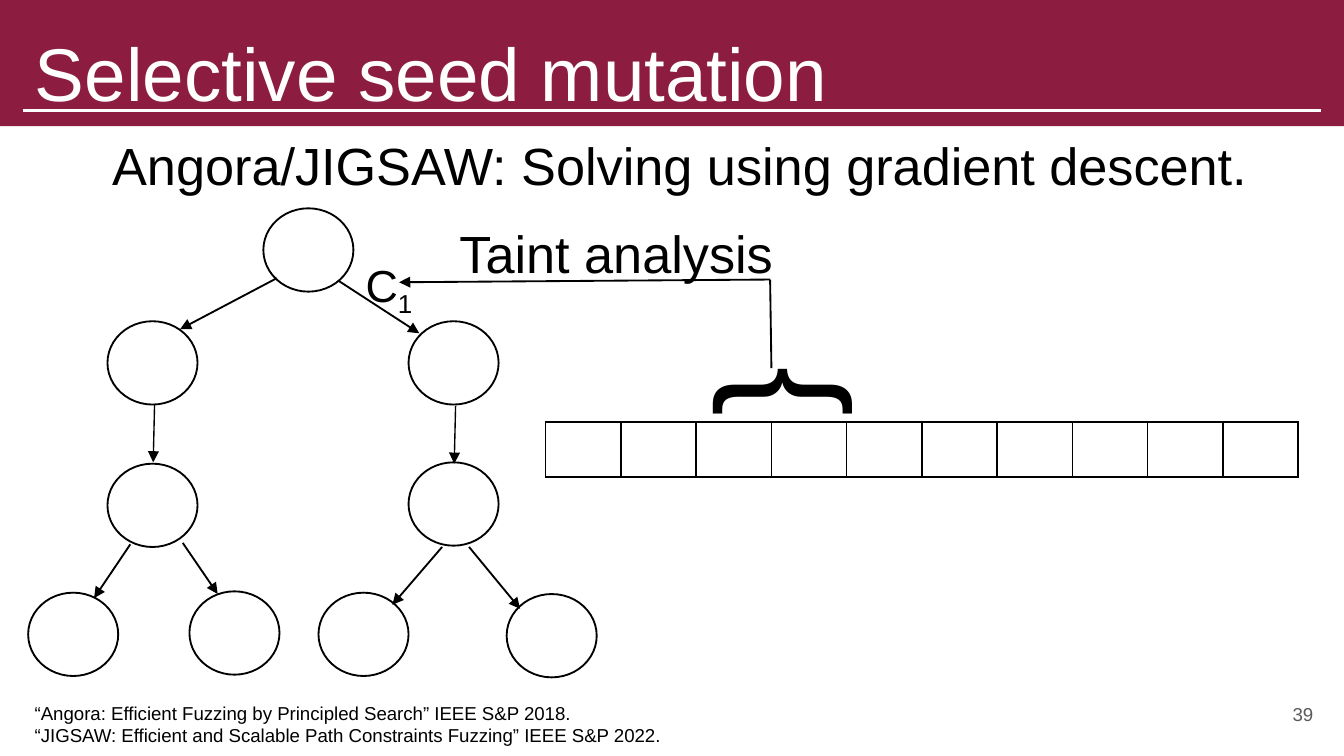
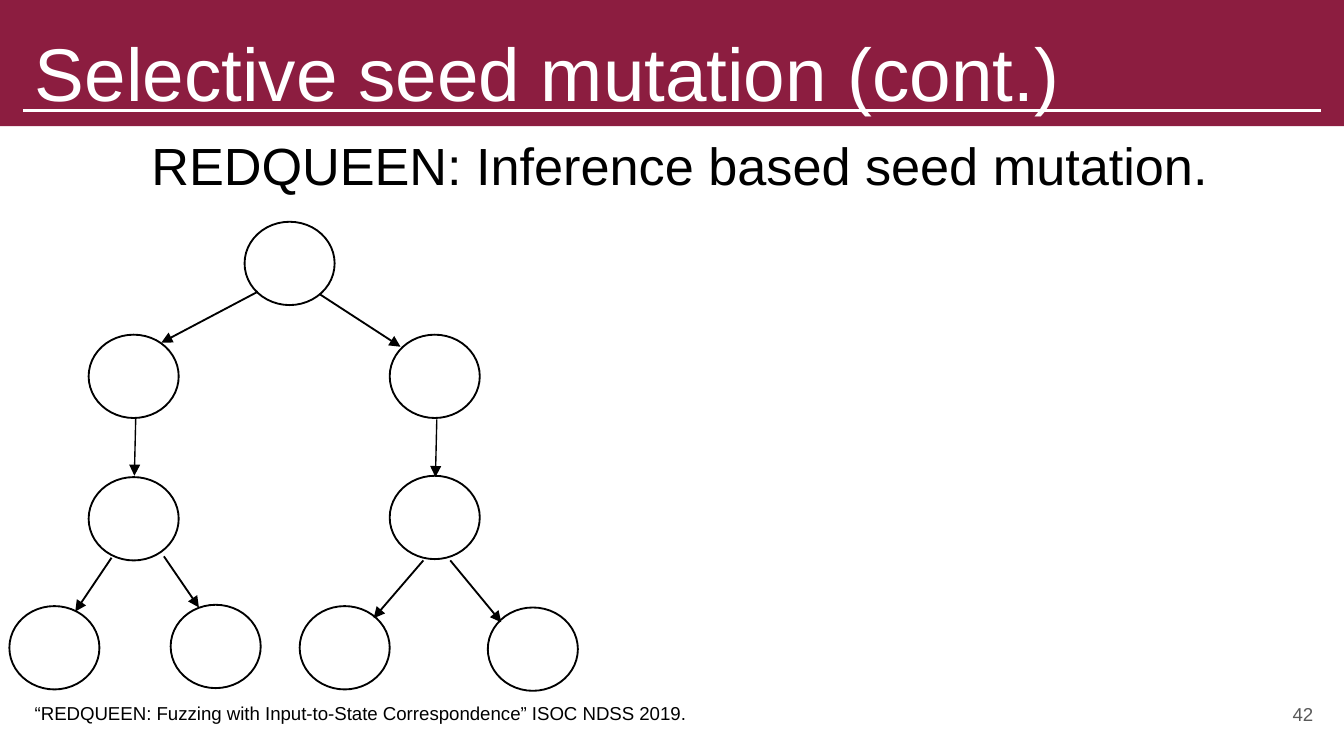
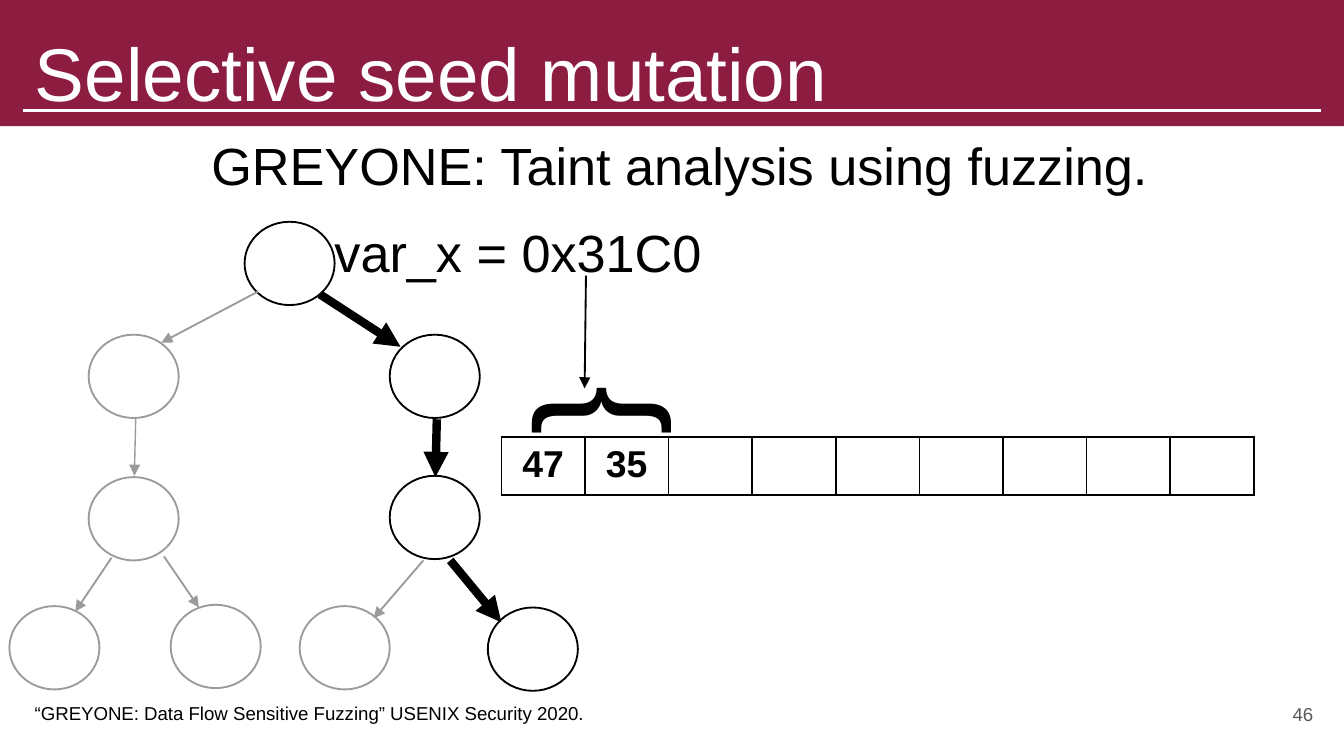
from lxml.etree import SubElement
from pptx import Presentation
from pptx.dml.color import RGBColor
from pptx.enum.shapes import MSO_CONNECTOR, MSO_SHAPE
from pptx.enum.text import MSO_ANCHOR, MSO_AUTO_SIZE, PP_ALIGN
from pptx.oxml.ns import qn
from pptx.util import Inches, Pt

WIDTH, HEIGHT = Inches(10), Inches(5.625)
CELL = WIDTH / 100
FONT = "Arial"
MAROON, WHITE, BLACK = "8C1D40", "FFFFFF", "000000"
FADED, NUMBER_GREY = "9B9B9B", "595959"
NODE_W, NODE_H = 6.7, 6.2

NODES = {
    "root": (0, 0),
    "left": (-11.6, 8.4), "right": (10.8, 8.4),
    "left_low": (-11.6, 19), "right_low": (10.8, 18.9),
    "leaf_1": (-17.5, 28.6), "leaf_2": (-5.5, 28.5),
    "leaf_3": (4.1, 28.6), "leaf_4": (18.1, 28.7),
}
EDGES = {
    "left": ((1, 5.2), (-6.2, 9)),
    "right": ((5.6, 5.4), (11.6, 9.3)),
    "left_low": ((-8.1, 14.6), (-8.2, 18.9)),
    "right_low": ((14.3, 14.7), (14.2, 19)),
    "leaf_1": ((-9.9, 25), (-12.6, 29)),
    "leaf_2": ((-6, 24.9), (-3.4, 28.7)),
    "leaf_3": ((13.3, 25.2), (9.6, 29.5)),
    "leaf_4": ((15.3, 25.2), (19.1, 29.8)),
}
THIN_EDGES = {"left_low", "right_low"}


def rgb(color):
    """Turn a hex string into a colour."""
    return RGBColor.from_string(color)


def grid(*cells):
    """Turn grid columns and rows into lengths."""
    return [round(c * CELL) for c in cells]


def style(p, size, color=BLACK, bold=False, align=None):
    """Format the runs of a paragraph."""
    p.alignment = align
    for r in p.runs:
        r.font.name, r.font.size, r.font.bold = FONT, Pt(size), bold
        r.font.color.rgb = rgb(color)


def add_text(slide, box, text, size, color=BLACK, align=None):
    """Add a text box that grows with its text."""
    sp = slide.shapes.add_textbox(*grid(*box))
    tf = sp.text_frame
    tf.word_wrap = True
    tf.auto_size = MSO_AUTO_SIZE.SHAPE_TO_FIT_TEXT
    tf.text = text
    for p in tf.paragraphs:
        style(p, size, color, align=align)
    return sp


def set_margins(tf):
    """Give a text frame equal margins on all sides."""
    tf.margin_left = tf.margin_top = tf.margin_right = tf.margin_bottom = Inches(0.1)


def add_line(slide, start, end, color=BLACK, width=1, arrow=True):
    """Add a straight line, with an arrowhead at its end if wanted."""
    line = slide.shapes.add_connector(MSO_CONNECTOR.STRAIGHT, *grid(*start, *end))
    line.line.color.rgb = rgb(color)
    line.line.width = Pt(width)
    if arrow:
        SubElement(line.line._get_or_add_ln(), qn("a:tailEnd"), type="triangle")
    SubElement(line._element.spPr, qn("a:effectLst"))


def add_node(slide, col, row, color):
    """Add an empty round tree node."""
    sp = slide.shapes.add_shape(MSO_SHAPE.FLOWCHART_CONNECTOR, *grid(col, row, NODE_W, NODE_H))
    sp.shadow.inherit = False
    sp.fill.background()
    sp.line.color.rgb = rgb(color)
    sp.line.width = Pt(1)


def add_tree(slide, col, row, taken=None):
    """Draw the branch tree, stressing the taken path if there is one."""
    for name, (dx, dy) in NODES.items():
        add_node(slide, col + dx, row + dy, BLACK if not taken or name in taken else FADED)
    for name, ends in EDGES.items():
        start, end = [(col + dx, row + dy) for dx, dy in ends]
        color, width = BLACK, 0.75 if name in THIN_EDGES else 1
        if taken:
            color, width = (BLACK, 4.5) if name in taken else (FADED, width)
        add_line(slide, start, end, color, width)


def add_border(cell):
    """Draw black lines around a table cell."""
    tc_pr = cell._tc.get_or_add_tcPr()
    for i, side in enumerate(("lnL", "lnR", "lnT", "lnB")):
        ln = tc_pr.makeelement(qn("a:" + side), {"w": str(Pt(1))})
        SubElement(SubElement(ln, qn("a:solidFill")), qn("a:srgbClr"), val=BLACK)
        tc_pr.insert(i, ln)


def add_bytes(slide, col, row, count, values=()):
    """Add the row of input bytes as a table."""
    frame = slide.shapes.add_table(1, count, *grid(col, row, 56, 4.1))
    table = frame.table
    table.first_row = table.horz_banding = False
    for column in table.columns:
        column.width = round(56 * CELL / count)
    for cell in table.iter_cells():
        cell.fill.background()
        add_border(cell)
    for cell, value in zip(table.iter_cells(), values):
        cell.text = value
        style(cell.text_frame.paragraphs[0], 20, bold=True, align=PP_ALIGN.CENTER)


def add_brace(slide, col, row):
    """Add a brace turned to lie above the bytes."""
    add_text(slide, (col, row, 5.4, 14.5), "}", 80).rotation = 270


def add_slide(prs, title, number, heading, sources):
    """Add a slide with its band, title, number, heading and sources."""
    slide = prs.slides.add_slide(prs.slide_layouts[5])
    sp = add_text(slide, (92.7, 51, 6, 4.3), number, 10, NUMBER_GREY, PP_ALIGN.RIGHT)
    sp.text_frame.auto_size = MSO_AUTO_SIZE.NONE
    sp.text_frame.vertical_anchor = MSO_ANCHOR.MIDDLE
    set_margins(sp.text_frame)

    band = slide.shapes.add_shape(MSO_SHAPE.RECTANGLE, 0, 0, WIDTH, *grid(9.4))
    band.shadow.inherit = False
    band.fill.solid()
    band.fill.fore_color.rgb = rgb(MAROON)
    band.line.fill.background()
    add_line(slide, (1.7, 8.2), (98.3, 8.2), WHITE, 1.5, arrow=False)

    sp = slide.shapes.title
    sp.left, sp.top, sp.width, sp.height = grid(1.6, 1, 96.7, 7.2)
    tf = sp.text_frame
    tf.text = title
    tf.auto_size = MSO_AUTO_SIZE.NONE
    tf.vertical_anchor = MSO_ANCHOR.TOP
    set_margins(tf)
    style(tf.paragraphs[0], 40, WHITE, align=PP_ALIGN.LEFT)
    slide.shapes._spTree.append(sp._element)

    add_text(slide, (0, 9.4, 101.1, 5.7), heading, 28, align=PP_ALIGN.CENTER)
    add_text(slide, (1.6, 51.7, 79, 1 + 1.7 * len(sources)), "\n".join(sources), 10)
    return slide


def add_constraint(slide):
    """Label the right branch with its numbered constraint."""
    sp = add_text(slide, (25.6, 18.7, 6.7, 5), "C", 24, align=PP_ALIGN.CENTER)
    p = sp.text_frame.paragraphs[0]
    r = p.add_run()
    r.text = "1"
    style(p, 24, align=PP_ALIGN.CENTER)
    r.font._element.set("baseline", "-25000")


def main():
    """Build the three slides and save them."""
    prs = Presentation()
    prs.slide_width, prs.slide_height = WIDTH, HEIGHT

    slide = add_slide(prs, "Selective seed mutation", "39",
                      "Angora/JIGSAW: Solving using gradient descent.",
                      ["“Angora: Efficient Fuzzing by Principled Search” IEEE S&P 2018.",
                       "“JIGSAW: Efficient and Scalable Path Constraints Fuzzing” IEEE S&P 2022."])
    add_tree(slide, 19.6, 15.5)
    add_constraint(slide)
    add_bytes(slide, 40.6, 31.4, 10)
    add_brace(slide, 54.1, 22)
    corner = (57.3, 20.8)
    add_line(slide, corner, (29.7, 21))
    add_line(slide, corner, (57.4, 27.4), arrow=False)
    add_text(slide, (33.2, 16, 30.5, 5.7), "Taint analysis", 28)

    slide = add_slide(prs, "Selective seed mutation (cont.)", "42",
                      "REDQUEEN: Inference based seed mutation.",
                      ["“REDQUEEN: Fuzzing with Input-to-State Correspondence” ISOC NDSS 2019."])
    add_tree(slide, 18.2, 16.5)

    slide = add_slide(prs, "Selective seed mutation", "46",
                      "GREYONE: Taint analysis using fuzzing.",
                      ["“GREYONE: Data Flow Sensitive Fuzzing” USENIX Security 2020."])
    add_bytes(slide, 37.3, 32.5, 9, ("47", "35"))
    add_brace(slide, 40.6, 23.4)
    add_line(slide, (43.6, 20.5), (43.5, 28.9))
    add_text(slide, (23.9, 15.9, 34.2, 5.7), "var_x = 0x31C0", 28)
    add_tree(slide, 18.2, 16.5, taken={"root", "right", "right_low", "leaf_4"})

    prs.save("out.pptx")


if __name__ == "__main__":
    main()
